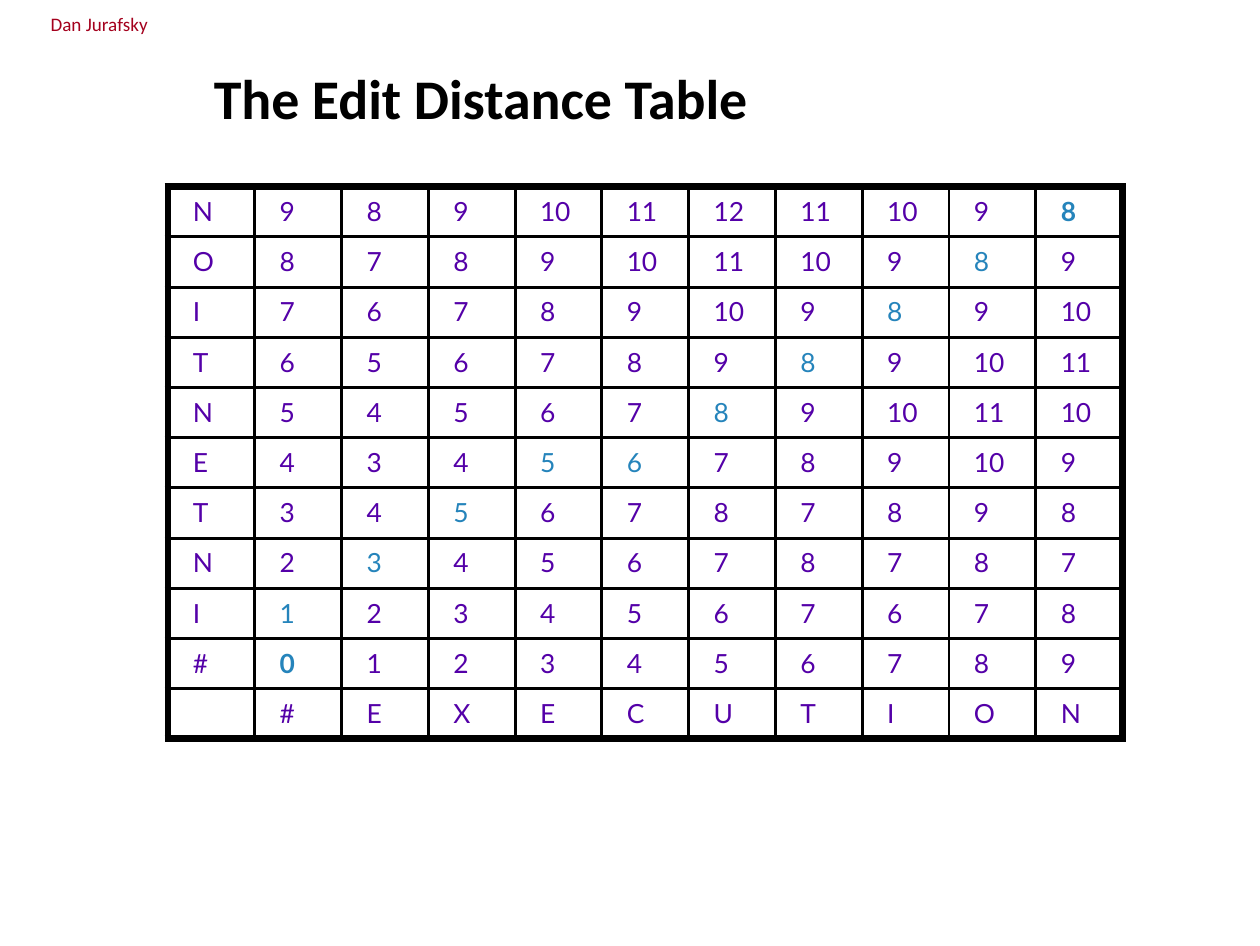
"""Build the edit distance table slide."""
from lxml import etree
from pptx import Presentation
from pptx import util as u
from pptx.dml.color import RGBColor
from pptx.enum import text
from pptx.oxml.ns import qn

PURPLE, BLUE, RED, BLACK = "5400A8", "2584BB", "A4001D", "000000"
THIN, THICK = 1, 2.25
COLUMN_WIDTH, ROW_HEIGHT = 25.02, 14.46
LETTER_SIZE = 7.6
DISTANCES = """
N 9 8 9 10 11 12 11 10 9 8
O 8 7 8 9 10 11 10 9 8 9
I 7 6 7 8 9 10 9 8 9 10
T 6 5 6 7 8 9 8 9 10 11
N 5 4 5 6 7 8 9 10 11 10
E 4 3 4 5 6 7 8 9 10 9
T 3 4 5 6 7 8 7 8 9 8
N 2 3 4 5 6 7 8 7 8 7
I 1 2 3 4 5 6 7 6 7 8
# 0 1 2 3 4 5 6 7 8 9
"""
GRID = [line.split() for line in DISTANCES.strip().splitlines()]
GRID.append(["", *"#EXECUTION"])
PATH = [(0, 10), (1, 9), (2, 8), (3, 7), (4, 6), (5, 5), (5, 4),
        (6, 3), (7, 2), (8, 1), (9, 1)]
PATH_ENDS = PATH[0], PATH[-1]


def rgb(value):
    """Return a colour from a hex string."""
    return RGBColor.from_string(value)


def apply(target, formats):
    """Set each named attribute on the target."""
    for name, value in formats.items():
        setattr(target, name, value)


def write(paragraph, words, size, font, color, bold=False):
    """Add one formatted run to a paragraph."""
    run = paragraph.add_run()
    run.text = words
    apply(run.font, {"size": u.Pt(size), "name": font, "bold": bold})
    run.font.color.rgb = rgb(color)


def add_label(slide, box, words, frame_formats, align, **style):
    """Add a text box holding one line."""
    frame = slide.shapes.add_textbox(*map(u.Pt, box)).text_frame
    apply(frame, {"word_wrap": True, **frame_formats})
    paragraph = frame.paragraphs[0]
    paragraph.alignment = align
    write(paragraph, words, font="Calibri", **style)


def add_borders(cell, row, column):
    """Draw thin inner borders and thick outer ones."""
    outer = {"L": column == 0, "R": column == len(GRID[0]) - 1,
             "T": row == 0, "B": row == len(GRID) - 1}
    properties = cell._tc.get_or_add_tcPr()
    for side, is_outer in outer.items():
        width = u.Pt(THICK if is_outer else THIN)
        line = etree.SubElement(properties, qn(f"a:ln{side}"), w=str(width))
        fill = etree.SubElement(line, qn("a:solidFill"))
        etree.SubElement(fill, qn("a:srgbClr"), val=BLACK)


def fill_cell(cell, row, column):
    """Write one letter or distance into its cell."""
    add_borders(cell, row, column)
    cell.fill.background()
    apply(cell, {"margin_left": u.Pt(7.2), "margin_right": u.Pt(7.2),
                 "margin_top": u.Pt(2.6), "margin_bottom": u.Pt(2.6)})
    paragraph = cell.text_frame.paragraphs[0]
    words, place = GRID[row][column], (row, column)
    if words:
        write(paragraph, words, LETTER_SIZE, "Lato",
              BLUE if place in PATH else PURPLE, place in PATH_ENDS)
    else:
        etree.SubElement(paragraph._p, qn("a:endParaRPr"),
                         sz=str(round(LETTER_SIZE * 100)))


def add_distance_table(slide, left, top):
    """Add the grid of edit distances."""
    rows, columns = len(GRID), len(GRID[0])
    box = left, top, columns * COLUMN_WIDTH, rows * ROW_HEIGHT
    distances = slide.shapes.add_table(rows, columns, *map(u.Pt, box)).table
    apply(distances, {"first_row": False, "horz_banding": False})
    for column in distances.columns:
        column.width = u.Pt(COLUMN_WIDTH)
    for row in range(rows):
        distances.rows[row].height = u.Pt(ROW_HEIGHT)
        for column in range(columns):
            fill_cell(distances.cell(row, column), row, column)


def main():
    """Build and save the slide."""
    deck = Presentation()
    apply(deck, {"slide_width": u.Pt(363), "slide_height": u.Pt(272.5)})
    slide = deck.slides.add_slide(deck.slide_layouts[6])
    add_label(slide, (3.1, 0, 51, 10), "Dan Jurafsky",
              {"margin_left": 0, "margin_right": 0},
              text.PP_ALIGN.CENTER, size=5.5, color=RED)
    add_distance_table(slide, 48.4, 53.8)
    add_label(slide, (54.5, 14.8, 296.6, 29.5), "The Edit Distance Table",
              {"vertical_anchor": text.MSO_ANCHOR.TOP},
              text.PP_ALIGN.LEFT, size=16.1, color=BLACK, bold=True)
    deck.save("out.pptx")


if __name__ == "__main__":
    main()
